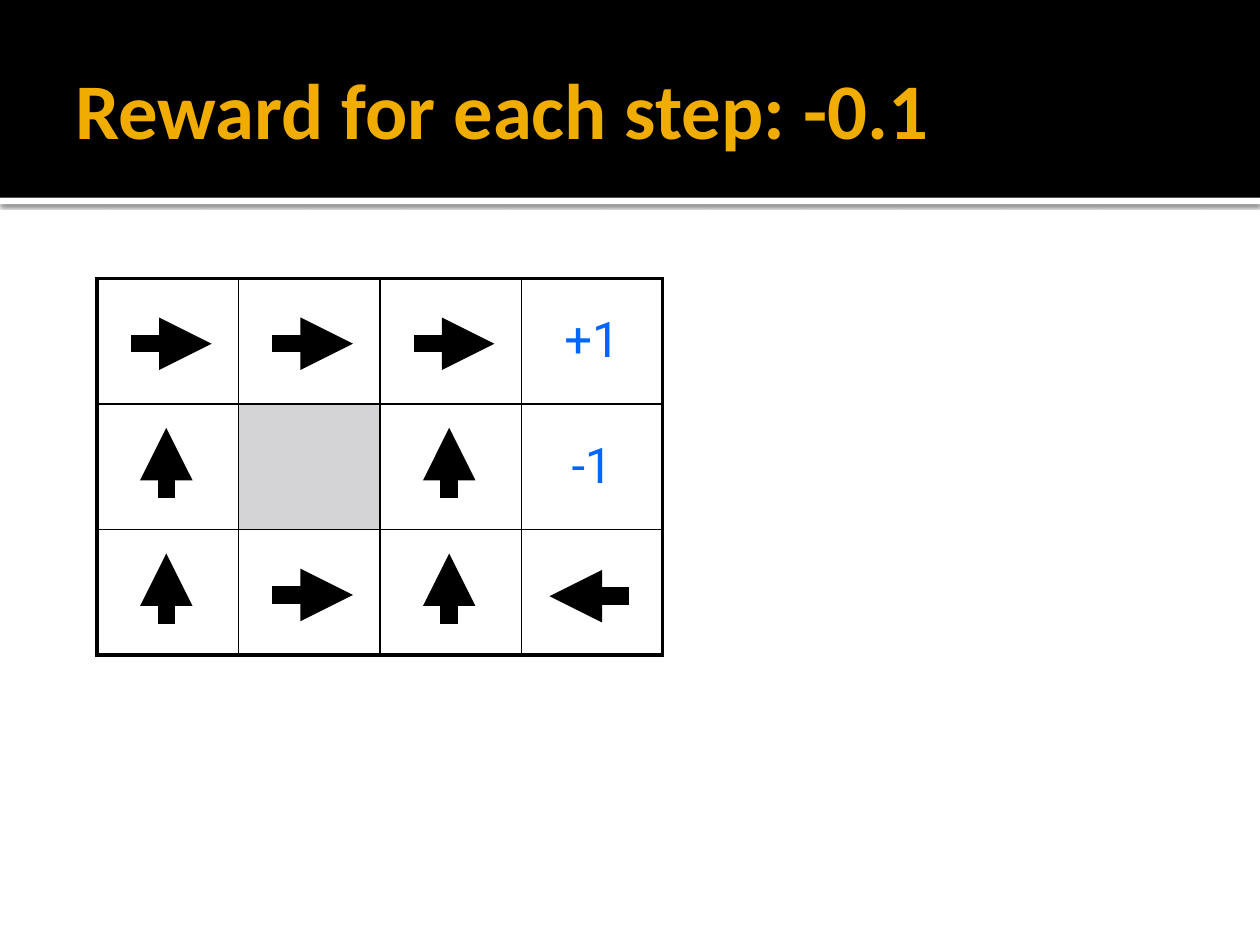
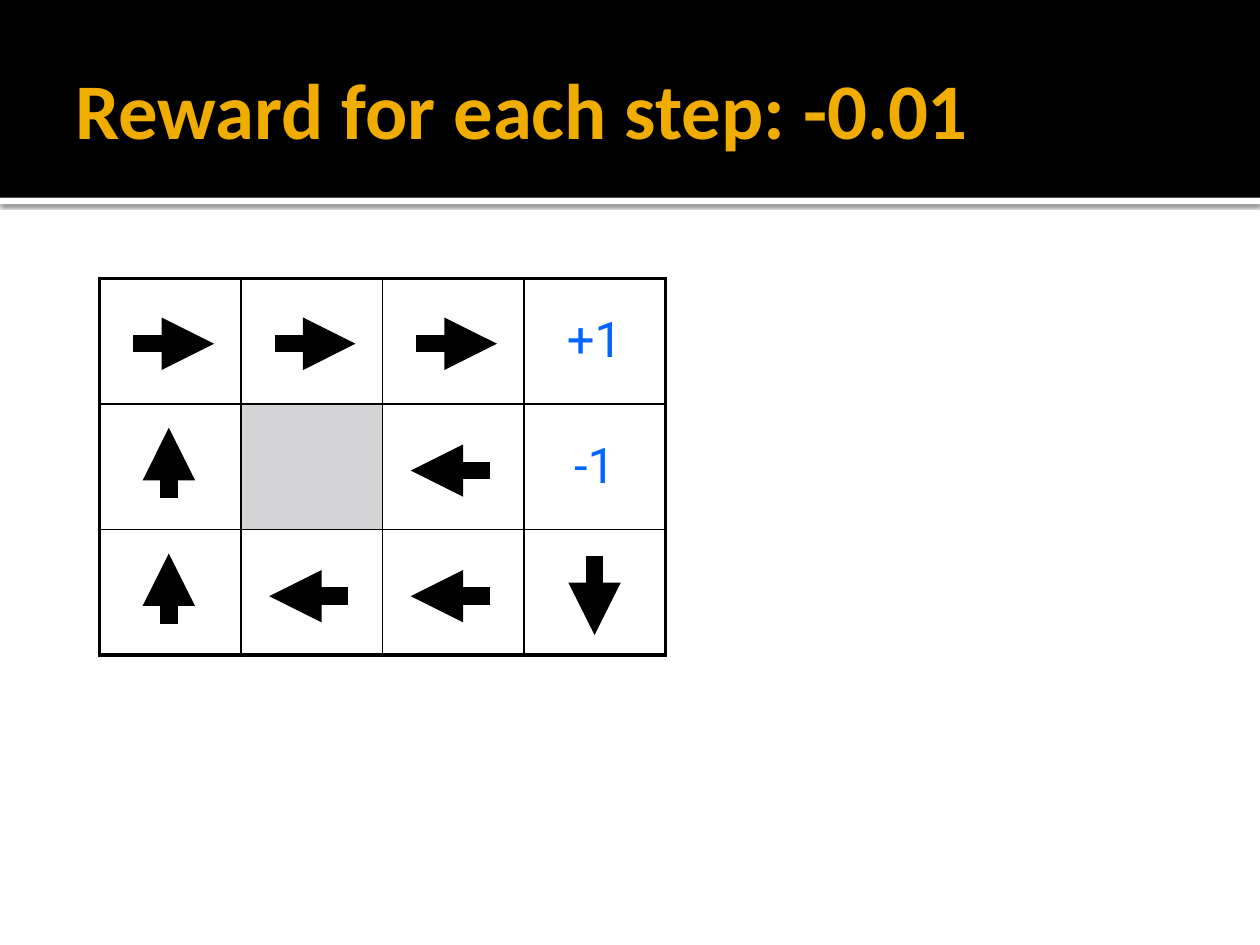
from collections import namedtuple

from lxml import etree
from pptx import Presentation
from pptx import util as u
from pptx.dml.color import RGBColor
from pptx.enum import shapes, text
from pptx.oxml import ns

Box = namedtuple("Box", "left top width height")

COLORS = {"band": "000000", "strip": "FFFFFF", "title": "F0AD00",
          "line": "000000", "wall": "D4D4D6", "reward": "0066FF"}
FONTS = {"title": "Calibri", "reward": "Roboto"}

# The slide is a grid of 10 columns by 7.5 rows, each one inch
COLUMNS, ROWS = 10, 7.5
BAND = Box(0, 0, COLUMNS, 1.57)
STRIP = Box(0, BAND.height, COLUMNS, 0.05)
TITLE = Box(0.5, 0.17, 9, 1.37)

WALL = "wall"
# Start and end of each arrow, as shares of its cell
ARROWS = {
    "right": ((0.24, 0.52), (0.81, 0.52)),
    "left": ((0.76, 0.53), (0.20, 0.53)),
    "up": ((0.49, 0.75), (0.49, 0.19)),
    "down": ((0.50, 0.21), (0.50, 0.84)),
}
POLICIES = [
    ("Reward for each step: -0.1", Box(0.77, 2.21, 4.49, 2.99),
     [["right", "right", "right", "+1"],
      ["up", WALL, "up", "-1"],
      ["up", "right", "up", "left"]]),
    ("Reward for each step: -0.01", Box(0.79, 2.21, 4.49, 2.99),
     [["right", "right", "right", "+1"],
      ["up", WALL, "left", "-1"],
      ["up", "left", "left", "down"]]),
]


def color(name):
    return RGBColor.from_string(COLORS[name])


def lengths(values):
    return [u.Inches(value) for value in values]


def add_element(parent, tag, **attributes):
    return etree.SubElement(parent, ns.qn(tag), **attributes)


def add_bar(slide, box, fill):
    bar = slide.shapes.add_shape(shapes.MSO_SHAPE.RECTANGLE, *lengths(box))
    bar.shadow.inherit = False
    bar.fill.solid()
    bar.fill.fore_color.rgb = color(fill)
    bar.line.fill.background()
    return bar


def move_header_to_layout(slide):
    """Draw the black band and the shaded strip once, for all slides."""
    strip = add_bar(slide, STRIP, "strip")
    effects = strip.element.spPr.find(ns.qn("a:effectLst"))
    shadow = add_element(effects, "a:outerShdw", blurRad=str(u.Pt(2.5)),
                         dist=str(u.Pt(0.8)), dir="5400000", rotWithShape="0")
    shade = add_element(shadow, "a:srgbClr", val=COLORS["line"])
    add_element(shade, "a:alpha", val="60000")

    band = add_bar(slide, BAND, "band")
    tree = slide.slide_layout.shapes.element
    for index, bar in enumerate((strip, band), start=2):
        tree.insert(index, bar.element)


def set_title(slide, wording, box):
    title = slide.shapes.title
    title.left, title.top, title.width, title.height = lengths(box)
    frame = title.text_frame
    frame.text = wording
    frame.auto_size = text.MSO_AUTO_SIZE.NONE
    frame.vertical_anchor = text.MSO_ANCHOR.MIDDLE
    frame.margin_left = u.Inches(0.1)
    frame.margin_right = u.Inches(0.05)
    paragraph = frame.paragraphs[0]
    paragraph.alignment = text.PP_ALIGN.LEFT
    font = paragraph.font
    font.name, font.size, font.bold = FONTS["title"], u.Pt(45), True
    font.color.rgb = color("title")


def set_borders(cell, outer_sides):
    """Draw thick lines on the table's edge and thin ones inside."""
    properties = cell._tc.get_or_add_tcPr()
    for index, side in enumerate("LRTB"):
        width = u.Pt(2.25 if side in outer_sides else 1)
        line = etree.Element(ns.qn(f"a:ln{side}"), w=str(width))
        fill = add_element(line, "a:solidFill")
        add_element(fill, "a:srgbClr", val=COLORS["line"])
        properties.insert(index, line)


def set_reward(cell, wording):
    cell.text = wording
    cell.vertical_anchor = text.MSO_ANCHOR.MIDDLE
    paragraph = cell.text_frame.paragraphs[0]
    paragraph.alignment = text.PP_ALIGN.CENTER
    paragraph.font.name = FONTS["reward"]
    paragraph.font.size = u.Pt(28)
    paragraph.font.color.rgb = color("reward")


def add_arrow(slide, box, direction):
    points = [value for across, down in ARROWS[direction]
              for value in (box.left + across * box.width,
                            box.top + down * box.height)]
    arrow = slide.shapes.add_connector(shapes.MSO_CONNECTOR.STRAIGHT,
                                       *lengths(points))
    arrow.line.color.rgb = color("line")
    arrow.line.width = u.Pt(10)
    add_element(arrow.line._get_or_add_ln(), "a:tailEnd", type="triangle")
    add_element(arrow.element.spPr, "a:effectLst")


def add_policy_grid(slide, box, policy):
    row_count, column_count = len(policy), len(policy[0])
    width, height = box.width / column_count, box.height / row_count
    table = slide.shapes.add_table(row_count, column_count,
                                   *lengths(box)).table
    table.first_row = table.horz_banding = False

    for row, actions in enumerate(policy):
        for column, action in enumerate(actions):
            cell = table.cell(row, column)
            if action == WALL:
                cell.fill.solid()
                cell.fill.fore_color.rgb = color("wall")
            else:
                cell.fill.background()
            edges = {"L": column == 0, "R": column == column_count - 1,
                     "T": row == 0, "B": row == row_count - 1}
            set_borders(cell, [side for side, outer in edges.items() if outer])

            if action in ARROWS:
                cell_box = Box(box.left + column * width,
                               box.top + row * height, width, height)
                add_arrow(slide, cell_box, action)
            elif action != WALL:
                set_reward(cell, action)


def main():
    presentation = Presentation()
    presentation.slide_width = u.Inches(COLUMNS)
    presentation.slide_height = u.Inches(ROWS)
    title_only = presentation.slide_layouts.get_by_name("Title Only")

    for number, (wording, grid_box, policy) in enumerate(POLICIES):
        slide = presentation.slides.add_slide(title_only)
        if number == 0:
            move_header_to_layout(slide)
        set_title(slide, wording, TITLE)
        add_policy_grid(slide, grid_box, policy)

    presentation.save("out.pptx")


if __name__ == "__main__":
    main()
